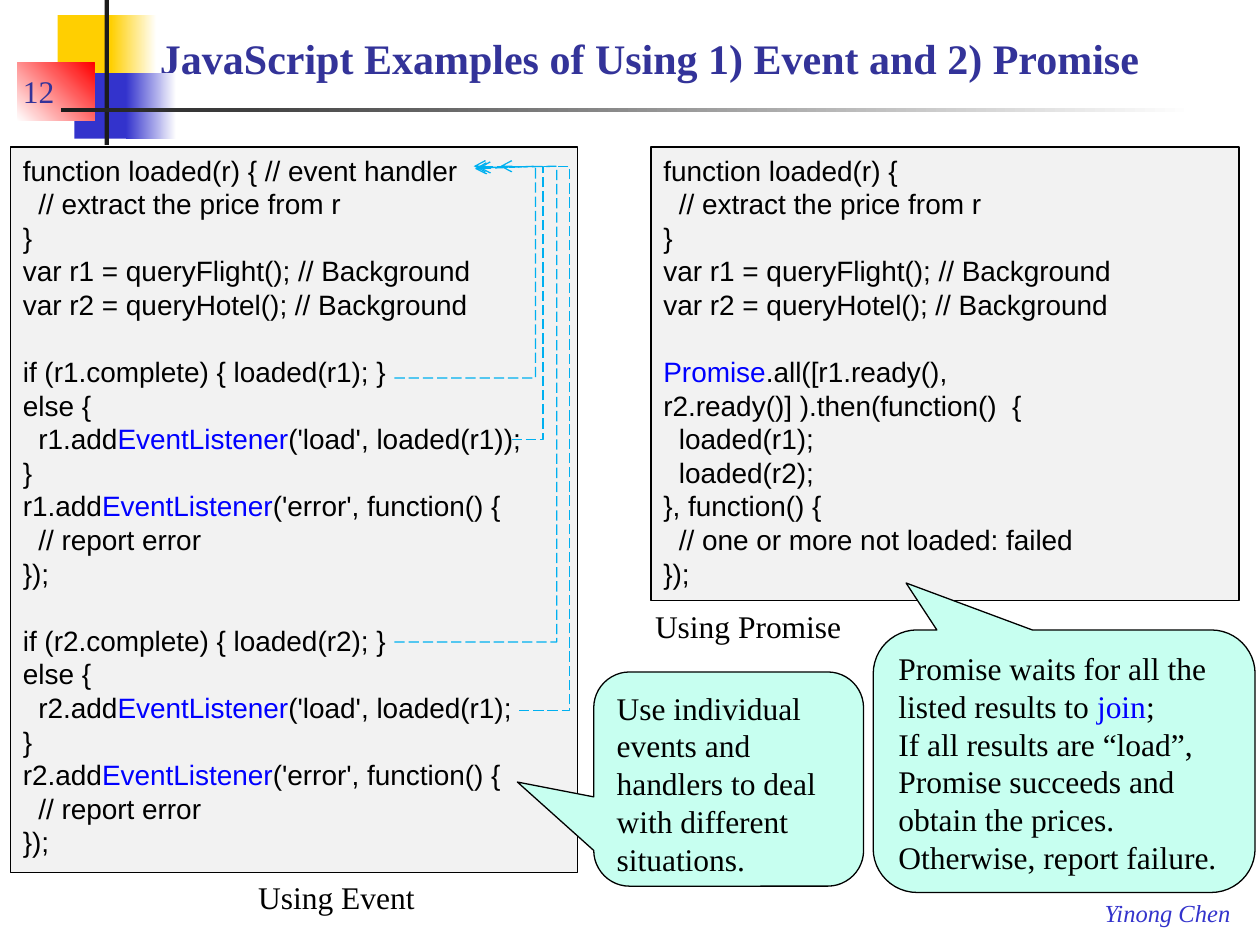
from dataclasses import dataclass
from typing import NamedTuple

from pptx import Presentation
from pptx.dml.color import RGBColor
from pptx.enum.dml import MSO_LINE
from pptx.enum.shapes import MSO_SHAPE
from pptx.enum.text import MSO_ANCHOR, MSO_AUTO_SIZE, PP_ALIGN
from pptx.oxml.ns import qn
from pptx.util import Pt
from lxml.etree import SubElement


@dataclass(frozen=True)
class Theme:
    code_font: str = "Arial"
    body_font: str = "Times New Roman"
    title_size: float = 24
    body_size: float = 18
    code_size: float = 16
    footer_size: float = 14
    leading: float = 1.2
    hairline: float = 0.75
    ink: str = "000000"
    keyword: str = "0000FF"
    heading: str = "333399"
    blue: str = "3333CC"
    yellow: str = "FFCF01"
    red: str = "FF0000"
    bar: str = "1C1C1C"
    white: str = "FFFFFF"
    code_fill: str = "F2F2F2"
    callout_fill: str = "C7FFF0"
    flow: str = "00B0F0"


class Box(NamedTuple):
    left: float
    top: float
    width: float
    height: float


class Ornament(NamedTuple):
    box: Box
    start: str
    end: str | None = None
    angle: float = 0


@dataclass(frozen=True)
class Panel:
    box: Box
    text: str
    keyword: str
    fill: str
    font: str
    size: float
    geometry: MSO_SHAPE = MSO_SHAPE.RECTANGLE
    adjustments: tuple[float, ...] = ()


class Label(NamedTuple):
    box: Box
    text: str
    size: float
    color: str
    italic: bool = False
    anchor: MSO_ANCHOR = MSO_ANCHOR.TOP
    wrap: bool = True


class Flow(NamedTuple):
    start: tuple[float, float]
    rail: float
    tip: tuple[float, float]


THEME = Theme()
FLOW_TOP = 95

ORNAMENTS = [
    Ornament(Box(33, 8.6, 34.6, 37.4), THEME.yellow),
    Ornament(Box(63.4, 8.6, 26, 37.4), THEME.yellow, THEME.white),
    Ornament(Box(42.5, 41.8, 33, 37.4), THEME.blue),
    Ornament(Box(72, 41.8, 28.8, 37.4), THEME.blue, THEME.white),
    Ornament(Box(10, 36, 44, 33.1), THEME.white, THEME.red, 45),
    Ornament(Box(59.8, 0, 2.4, 82.8), THEME.bar),
    Ornament(Box(34.6, 62, 648, 2.2), THEME.bar, THEME.white),
]

EVENT_CODE = """function loaded(r) { // event handler
  // extract the price from r
}
var r1 = queryFlight(); // Background
var r2 = queryHotel(); // Background

if (r1.complete) { loaded(r1); }
else {
  r1.addEventListener('load', loaded(r1));
}
r1.addEventListener('error', function() {
  // report error
});

if (r2.complete) { loaded(r2); }
else {
  r2.addEventListener('load', loaded(r1);
}
r2.addEventListener('error', function() {
  // report error
});"""

PROMISE_CODE = """function loaded(r) {
  // extract the price from r
}
var r1 = queryFlight(); // Background
var r2 = queryHotel(); // Background

Promise.all([r1.ready(), r2.ready()] ).then(function()  {
  loaded(r1);
  loaded(r2);
}, function() {
  // one or more not loaded: failed
});"""

PROMISE_NOTE = """Promise waits for all the listed results to join;
If all results are “load”, Promise succeeds and obtain the prices.
Otherwise, report failure."""

EVENT_NOTE = "Use individual events and handlers to deal with different situations."

CODE_STYLE = (THEME.code_fill, THEME.code_font, THEME.code_size)
NOTE_STYLE = (THEME.callout_fill, THEME.body_font, THEME.body_size, MSO_SHAPE.ROUNDED_RECTANGULAR_CALLOUT)

CODE_PANELS = [
    Panel(Box(6, 84, 324, 414.7), EVENT_CODE, "EventListener", *CODE_STYLE),
    Panel(Box(372, 84, 336, 259.2), PROMISE_CODE, "Promise", *CODE_STYLE),
]
CALLOUTS = [
    Panel(Box(499, 360, 218.2, 150), PROMISE_NOTE, "join", *NOTE_STYLE, (-0.414, -0.679, 0.167)),
    Panel(Box(339.3, 384, 154.2, 122.4), EVENT_NOTE, "", *NOTE_STYLE, (-0.783, 0.014, 0.167)),
]

FLOWS = [
    Flow((292.3, 251.3), 310.3, (270.7, FLOW_TOP)),
    Flow((296.6, 406.1), 325.4, (285.8, FLOW_TOP)),
    Flow((225.4, 216), 306, (271.4, 96.5)),
    Flow((225.4, 366.8), 318.2, (273.6, 95.8)),
]

LABELS = [
    Label(Box(624.2, 509.8, 86.4, 24.5), "Yinong Chen", THEME.footer_size, THEME.blue, italic=True, wrap=False),
    Label(Box(6, 30.2, 61.2, 36), "12", THEME.body_size, THEME.heading, anchor=MSO_ANCHOR.BOTTOM),
    Label(Box(140.4, 498.2, 114.5, 28.8), "Using Event", THEME.body_size, THEME.ink),
    Label(Box(367.2, 343.4, 154, 28.8), "Using Promise", THEME.body_size, THEME.ink),
]


def rgb(color: str) -> RGBColor:
    return RGBColor.from_string(color)


def place(box: Box) -> list[Pt]:
    return [Pt(length) for length in box]


def style_font(font, name: str, size: float, color: str) -> None:
    font.name, font.size = name, Pt(size)
    font.color.rgb = rgb(color)


def draw_ornament(slide, ornament: Ornament) -> None:
    block = slide.shapes.add_shape(MSO_SHAPE.RECTANGLE, *place(ornament.box))
    block.shadow.inherit = False
    block.line.fill.background()
    if ornament.end is None:
        block.fill.solid()
        block.fill.fore_color.rgb = rgb(ornament.start)
        return
    block.fill.gradient()
    block.fill.gradient_angle = ornament.angle
    for stop, color in zip(block.fill.gradient_stops, (ornament.start, ornament.end)):
        stop.color.rgb = rgb(color)


def write_lines(frame, panel: Panel) -> None:
    pitch = Pt(panel.size * THEME.leading)
    after_gap = False
    first = True
    for line in panel.text.split("\n"):
        if not line:
            after_gap = True
            continue
        paragraph = frame.paragraphs[0] if first else frame.add_paragraph()
        paragraph.alignment = PP_ALIGN.LEFT
        paragraph.line_spacing = pitch
        if after_gap:
            paragraph.space_before = pitch
        style_font(paragraph.font, panel.font, panel.size, THEME.ink)
        parts = line.partition(panel.keyword) if panel.keyword else (line,)
        for part in filter(None, parts):
            run = paragraph.add_run()
            run.text = part
            if part == panel.keyword:
                run.font.color.rgb = rgb(THEME.keyword)
        first = after_gap = False


def draw_panel(slide, panel: Panel) -> None:
    body = slide.shapes.add_shape(panel.geometry, *place(panel.box))
    for index, value in enumerate(panel.adjustments):
        body.adjustments[index] = value
    body.shadow.inherit = False
    body.fill.solid()
    body.fill.fore_color.rgb = rgb(panel.fill)
    body.line.color.rgb = rgb(THEME.ink)
    body.line.width = Pt(THEME.hairline)
    body.text_frame.word_wrap = True
    body.text_frame.vertical_anchor = MSO_ANCHOR.TOP
    write_lines(body.text_frame, panel)


def draw_flow(slide, flow: Flow) -> None:
    corners = [(flow.rail, flow.start[1]), (flow.rail, FLOW_TOP), flow.tip]
    builder = slide.shapes.build_freeform(*map(Pt, flow.start))
    builder.add_line_segments([(Pt(x), Pt(y)) for x, y in corners], close=False)
    route = builder.convert_to_shape()
    route.shadow.inherit = False
    route.fill.background()
    route.line.color.rgb = rgb(THEME.flow)
    route.line.width = Pt(THEME.hairline)
    route.line.dash_style = MSO_LINE.LONG_DASH
    SubElement(route.line._get_or_add_ln(), qn("a:tailEnd"), type="arrow")


def draw_label(slide, label: Label) -> None:
    frame = slide.shapes.add_textbox(*place(label.box)).text_frame
    frame.word_wrap = label.wrap
    frame.vertical_anchor = label.anchor
    paragraph = frame.paragraphs[0]
    paragraph.text = label.text
    style_font(paragraph.font, THEME.body_font, label.size, label.color)
    paragraph.font.italic = label.italic


def set_title(slide, box: Box, text: str) -> None:
    title = slide.shapes.title
    title.left, title.top, title.width, title.height = place(box)
    frame = title.text_frame
    frame.word_wrap = True
    frame.auto_size = MSO_AUTO_SIZE.NONE
    frame.vertical_anchor = MSO_ANCHOR.BOTTOM
    heading = frame.paragraphs[0]
    heading.text = text
    heading.alignment = PP_ALIGN.LEFT
    style_font(heading.font, THEME.body_font, THEME.title_size, THEME.heading)
    heading.font.bold = True


def main() -> None:
    deck = Presentation()
    deck.slide_width, deck.slide_height = Pt(720), Pt(540)
    slide = deck.slides.add_slide(deck.slide_layouts[5])
    set_title(slide, Box(84.2, 2.2, 632.9, 49), "JavaScript Examples of Using 1) Event and 2) Promise")
    for draw, items in (
        (draw_ornament, ORNAMENTS),
        (draw_panel, CODE_PANELS),
        (draw_flow, FLOWS),
        (draw_panel, CALLOUTS),
        (draw_label, LABELS),
    ):
        for item in items:
            draw(slide, item)
    deck.save("out.pptx")


if __name__ == "__main__":
    main()
